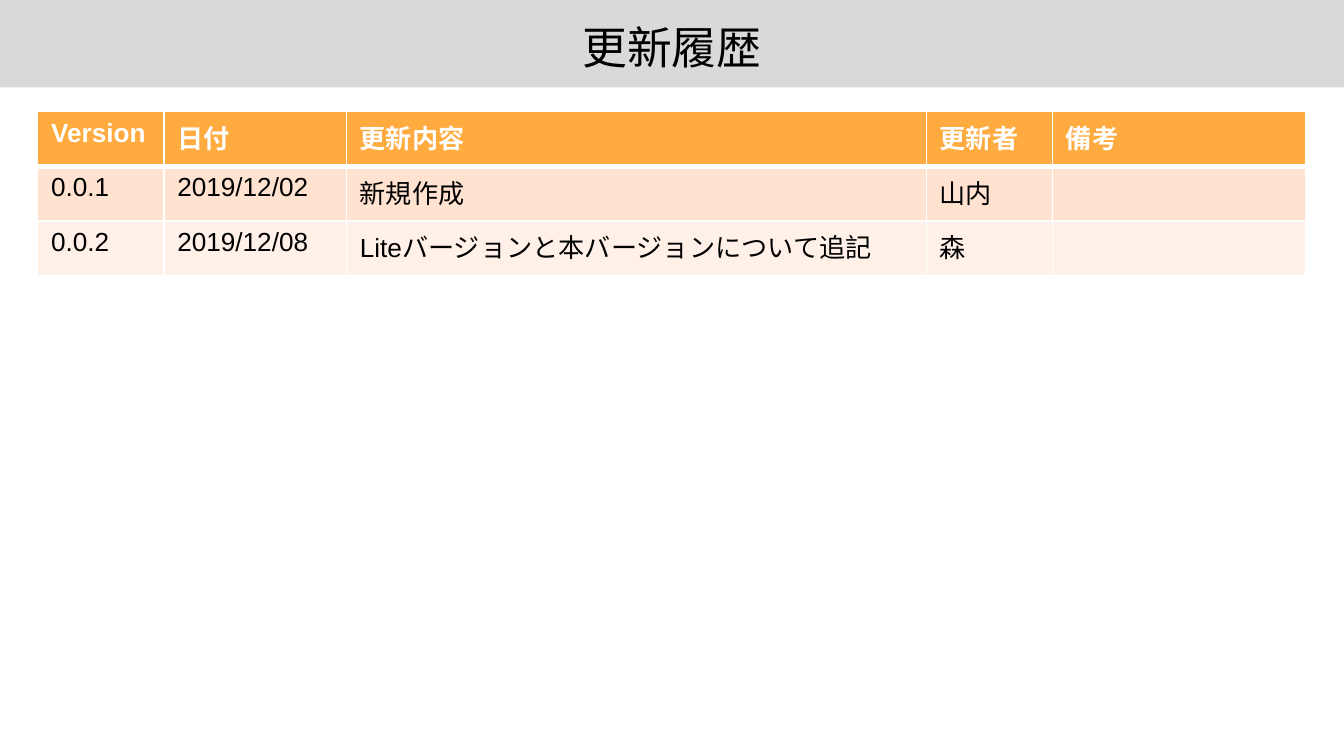
from dataclasses import dataclass

from lxml.etree import SubElement
from pptx import Presentation
from pptx.dml.color import RGBColor
from pptx.enum.text import MSO_ANCHOR, MSO_AUTO_SIZE, PP_ALIGN
from pptx.oxml.ns import qn
from pptx.util import Inches, Pt


@dataclass(frozen=True)
class Theme:
    band: str = "D9D9D9"
    ink: str = "000000"
    paper: str = "FFFFFF"
    header: str = "FFAB40"
    stripes: tuple = ("FFE2CF", "FFF1E8")
    heading_font: str = "Roboto"
    body_font: str = "Arial"
    heading_size: int = 24
    body_size: int = 14
    rule: int = 1
    header_rule: int = 3


THEME = Theme()
WIDTH = Inches(10)
HEIGHT = WIDTH * 9 // 16
HEADING_BOX = (0, 0, WIDTH, Inches(0.65))
HISTORY_BOX = (Inches(0.28), Inches(0.83), Inches(9.44), Inches(1.22))
COLUMN_SHARES = (0.94, 1.36, 4.32, 0.94, 1.89)
HISTORY = (
    ("Version", "日付", "更新内容", "更新者", "備考"),
    ("0.0.1", "2019/12/02", "新規作成", "山内", ""),
    ("0.0.2", "2019/12/08", "Liteバージョンと本バージョンについて追記", "森", ""),
)


def apply(target, values):
    for name, value in values.items():
        setattr(target, name, value)


def paint(fill, color):
    fill.solid()
    fill.fore_color.rgb = RGBColor.from_string(color)


def style_font(font, name, size, color, bold=False):
    apply(font, {"name": name, "size": Pt(size), "bold": bold})
    font.color.rgb = RGBColor.from_string(color)


def draw_borders(cell, widths):
    properties = cell._tc.get_or_add_tcPr()
    for side, width in widths.items():
        line = SubElement(properties, qn(f"a:ln{side}"), w=str(Pt(width)))
        solid = SubElement(line, qn("a:solidFill"))
        SubElement(solid, qn("a:srgbClr"), val=THEME.paper)


def place_heading(slide, box, text):
    heading = slide.shapes.title
    apply(heading, dict(zip(("left", "top", "width", "height"), box)))
    paint(heading.fill, THEME.band)
    frame = heading.text_frame
    frame.text = text
    inset = Inches(0.1)
    apply(frame, {
        "auto_size": MSO_AUTO_SIZE.NONE,
        "word_wrap": True,
        "vertical_anchor": MSO_ANCHOR.BOTTOM,
        "margin_left": inset,
        "margin_top": inset,
        "margin_right": inset,
        "margin_bottom": inset,
    })
    paragraph = frame.paragraphs[0]
    paragraph.alignment = PP_ALIGN.CENTER
    style_font(paragraph.runs[0].font, THEME.heading_font, THEME.heading_size, THEME.ink)


def place_history(slide, box, rows):
    history = slide.shapes.add_table(len(rows), len(COLUMN_SHARES), *box).table
    for column, share in zip(history.columns, COLUMN_SHARES):
        column.width = int(box[2] * share / sum(COLUMN_SHARES))
    for row_index, entries in enumerate(rows):
        is_header = row_index == 0
        background = THEME.header if is_header else THEME.stripes[(row_index - 1) % 2]
        color = THEME.paper if is_header else THEME.ink
        borders = {
            "L": THEME.rule,
            "R": THEME.rule,
            "T": THEME.header_rule if row_index == 1 else THEME.rule,
            "B": THEME.header_rule if is_header else THEME.rule,
        }
        for column_index, entry in enumerate(entries):
            cell = history.cell(row_index, column_index)
            draw_borders(cell, borders)
            paint(cell.fill, background)
            if entry:
                cell.text = entry
                run = cell.text_frame.paragraphs[0].runs[0]
                style_font(run.font, THEME.body_font, THEME.body_size, color, is_header)


def main():
    deck = Presentation()
    apply(deck, {"slide_width": WIDTH, "slide_height": HEIGHT})
    slide = deck.slides.add_slide(deck.slide_layouts.get_by_name("Title Only"))
    paint(slide.background.fill, THEME.paper)
    place_heading(slide, HEADING_BOX, "更新履歴")
    place_history(slide, HISTORY_BOX, HISTORY)
    deck.save("out.pptx")


if __name__ == "__main__":
    main()
